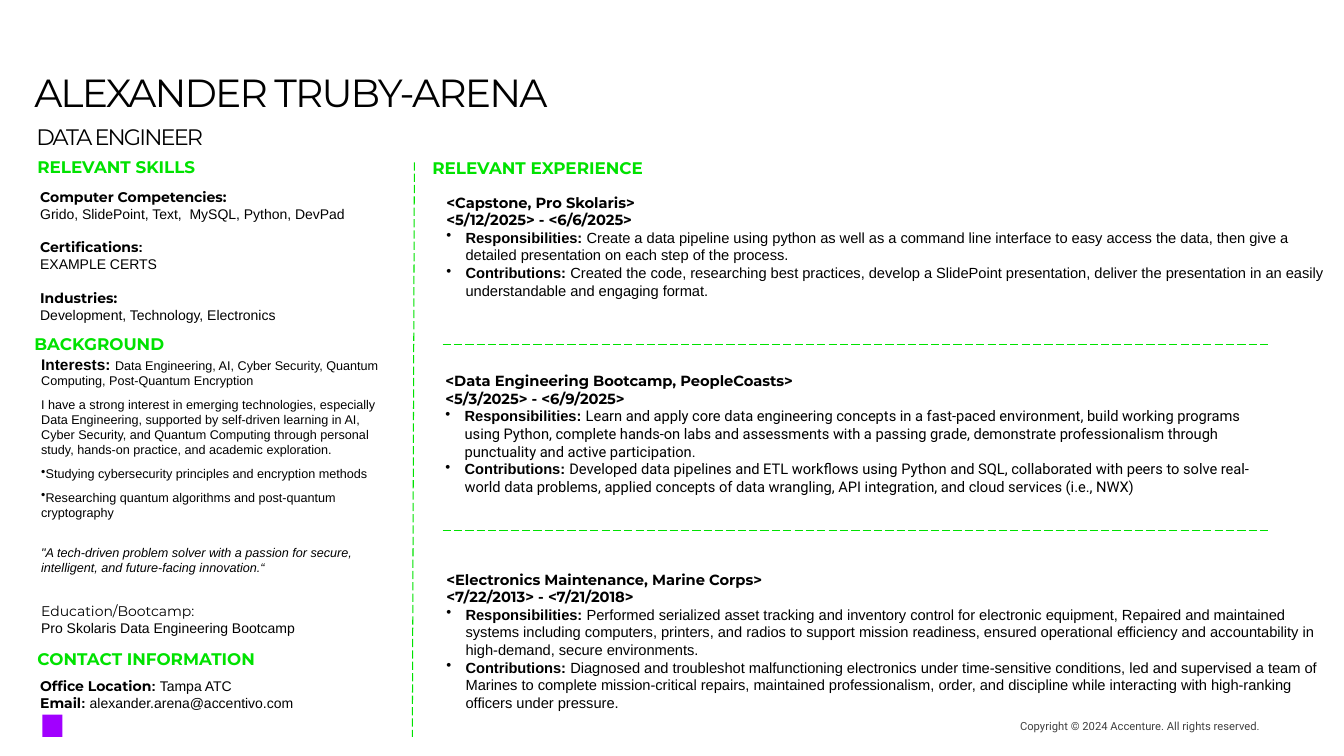
import pptx
import pptx.dml.color
import pptx.enum.dml
import pptx.enum.shapes
import pptx.enum.text
import pptx.oxml
import pptx.oxml.ns
import pptx.util
from lxml import etree

Inches = pptx.util.Inches
Pt = pptx.util.Pt
RGBColor = pptx.dml.color.RGBColor
Align = pptx.enum.text.PP_ALIGN
Anchor = pptx.enum.text.MSO_ANCHOR

BLACK = RGBColor(0x00, 0x00, 0x00)
GRAY = RGBColor(0x40, 0x40, 0x40)
GREEN = RGBColor(0x00, 0xE2, 0x00)
PURPLE = RGBColor(0xA1, 0x00, 0xFF)
HEAD, BODY, ALT = "Montserrat", "Arial", "Roboto"


def run(text, **form):
    """Pair a text with its format: font, size, bold, italic, color, track."""
    return text, form


def para(*runs, **form):
    """Pair runs with a paragraph format: before, after, lead, align, bullet."""
    return runs, form


def label(text, **form):
    return run(text, font=HEAD, bold=True, **form)


class Resume:
    def __init__(self, slide):
        self.slide = slide
        self.size = 10
        self.font = BODY
        self.color = BLACK

    def text(self, box, paras, inset=(0.1, 0.05, 0.1, 0.05), anchor=Anchor.TOP):
        shape = self.slide.shapes.add_textbox(*map(Inches, box))
        frame = shape.text_frame
        frame.word_wrap = True
        frame.vertical_anchor = anchor
        (frame.margin_left, frame.margin_top,
         frame.margin_right, frame.margin_bottom) = map(Inches, inset)
        for i, (runs, form) in enumerate(paras):
            item = frame.add_paragraph() if i else frame.paragraphs[0]
            self.shape_para(item, **form)
            for words, style in runs:
                self.add_run(item, words, **style)

    def shape_para(self, item, before=0, after=0, lead=None,
                   align=Align.LEFT, bullet=None):
        """Set spacing; bullet is the hanging indent in inches."""
        item.alignment = align
        item.space_before, item.space_after = Pt(before), Pt(after)
        if lead:
            item.line_spacing = lead
        if bullet is not None:
            props = item._p.get_or_add_pPr()
            props.set("marL", str(Inches(bullet)))
            props.set("indent", str(-Inches(bullet)))
            mark = etree.SubElement(props, pptx.oxml.ns.qn("a:buChar"))
            mark.set("char", "•")

    def add_run(self, item, words, font=None, size=None, bold=False,
                italic=False, color=None, track=None):
        part = item.add_run()
        part.text = words
        face = part.font
        face.name = font or self.font
        face.size = Pt(size or self.size)
        face.bold, face.italic = bold, italic
        face.color.rgb = color or self.color
        if track:
            part._r.get_or_add_rPr().set("spc", str(track))

    def head(self, box, words, side=0):
        self.text(box, [para(label(words, size=12, color=GREEN))],
                  inset=(side, 0.05, side, 0.05))

    def title(self, box, words, size, **place):
        self.text(box, [para(run(words, font=HEAD, size=size, track=-130),
                             lead=0.8)], **place)

    def job(self, box, name, dates, duties, gains, font=BODY):
        paras = [para(label(words, size=10.5)) for words in (name, dates)]
        for lead, words in (("Responsibilities: ", duties),
                            ("Contributions: ", gains)):
            paras.append(para(run(lead, size=10.5, bold=True),
                              run(words, size=10.5, font=font), bullet=0.19))
        self.text(box, paras)

    def dash(self, start, end):
        line = self.slide.shapes.add_connector(
            pptx.enum.shapes.MSO_CONNECTOR.STRAIGHT,
            *map(Inches, start + end))
        line.line.color.rgb = GREEN
        line.line.width = Pt(0.75)
        line.line.dash_style = pptx.enum.dml.MSO_LINE.LONG_DASH
        etree.SubElement(line._element.spPr, pptx.oxml.ns.qn("a:effectLst"))

    def mark(self, box):
        shape = self.slide.shapes.add_shape(
            pptx.enum.shapes.MSO_SHAPE.RECTANGLE, *map(Inches, box))
        shape.shadow.inherit = False
        shape.fill.solid()
        shape.fill.fore_color.rgb = PURPLE
        shape.line.fill.background()


def main():
    deck = pptx.Presentation()
    deck.slide_width, deck.slide_height = Inches(13.33), Inches(7.5)
    page = Resume(deck.slides.add_slide(deck.slide_layouts[6]))

    page.mark((0.42, 7.09, 0.2, 0.22))
    page.text((8, 7.09, 4.5, 0.22), [para(
        run("Copyright © 2024 Accenture. All rights reserved.",
            font=ALT, size=8, color=GRAY), align=Align.RIGHT)],
        inset=(0, 0, 0, 0), anchor=Anchor.MIDDLE)
    page.title((0.34, 0.21, 9.67, 0.98), "ALEXANDER TRUBY-ARENA", 28,
               inset=(0, 0, 0.14, 0.05), anchor=Anchor.BOTTOM)
    page.title((0.36, 1.27, 12.22, 0.23), "DATA ENGINEER", 16,
               inset=(0, 0, 0.14, 0))

    page.dash((4.11, 1.61), (4.09, 7.31))
    for y in (3.42, 5.26):
        page.dash((4.39, y), (12.6, y))

    page.head((0.37, 1.51, 3.91, 0.33), "RELEVANT SKILLS")
    page.head((0.34, 3.26, 2.8, 0.29), "BACKGROUND")
    page.head((0.37, 6.39, 3.55, 0.33), "CONTACT INFORMATION")
    page.head((4.19, 1.52, 7.87, 0.31), "RELEVANT EXPERIENCE", side=0.1)

    page.text((0.3, 1.82, 3.91, 1.45), [
        para(label("Computer Competencies:")),
        para(run("Grido, SlidePoint, Text,  MySQL, Python, DevPad")),
        para(label("Certifications"), run(":", bold=True), before=12),
        para(run("EXAMPLE CERTS")),
        para(label("Industries:"), before=12),
        para(run("Development, Technology, Electronics"))])

    gap = {"before": 3, "after": 3}
    page.text((0.31, 3.47, 3.71, 3.13), [
        para(run("Interests: ", size=11, bold=True),
             run("Data Engineering, AI, Cyber Security, Quantum Computing, "
                 "Post-Quantum Encryption", size=9), after=3),
        para(run("I have a strong interest in emerging technologies, "
                 "especially Data Engineering, supported by self-driven "
                 "learning in AI, Cyber Security, and Quantum Computing "
                 "through personal study, hands-on practice, and academic "
                 "exploration.", size=9), **gap),
        para(run("Studying cybersecurity principles and encryption methods",
                 size=9), bullet=0, **gap),
        para(run("Researching quantum algorithms and post-quantum "
                 "cryptography", size=9), bullet=0, **gap),
        para(run("\"A tech-driven problem solver with a passion for secure, "
                 "intelligent, and future-facing innovation.“",
                 size=9, italic=True), before=15, after=3),
        para(run("Education/Bootcamp:", font=HEAD), before=16.5),
        para(run("Pro Skolaris Data Engineering Bootcamp"))])

    page.text((0.3, 6.67, 3.58, 0.44), [
        para(label(name), run(": ", bold=True), run(value))
        for name, value in (("Office Location", "Tampa ATC"),
                            ("Email", "alexander.arena@accentivo.com"))])

    page.job((4.33, 1.87, 8.93, 1.16),
             "<Capstone, Pro Skolaris>", "<5/12/2025> - <6/6/2025>",
             "Create a data pipeline using python as well as a command line "
             "interface to easy access the data, then give a detailed "
             "presentation on each step of the process.",
             "Created the code, researching best practices, develop a "
             "SlidePoint presentation, deliver the presentation in an easily "
             "understandable and engaging format.")
    page.job((4.32, 3.64, 8.35, 1.51),
             "<Data Engineering Bootcamp, PeopleCoasts>",
             "<5/3/2025> - <6/9/2025>",
             "Learn and apply core data engineering concepts in a fast-paced "
             "environment, build working programs using Python, complete "
             "hands-on labs and assessments with a passing grade, demonstrate "
             "professionalism through punctuality and active participation.",
             "Developed data pipelines and ETL workflows using Python and "
             "SQL, collaborated with peers to solve real-world data problems, "
             "applied concepts of data wrangling, API integration, and cloud "
             "services (i.e., NWX)", font=ALT)
    page.job((4.33, 5.61, 8.93, 1.51),
             "<Electronics Maintenance, Marine Corps>",
             "<7/22/2013> - <7/21/2018>",
             "Performed serialized asset tracking and inventory control for "
             "electronic equipment, Repaired and maintained systems including "
             "computers, printers, and radios to support mission readiness, "
             "ensured operational efficiency and accountability in "
             "high-demand, secure environments.",
             "Diagnosed and troubleshot malfunctioning electronics under "
             "time-sensitive conditions, led and supervised a team of Marines "
             "to complete mission-critical repairs, maintained "
             "professionalism, order, and discipline while interacting with "
             "high-ranking officers under pressure.")
    deck.save("out.pptx")


if __name__ == "__main__":
    main()
